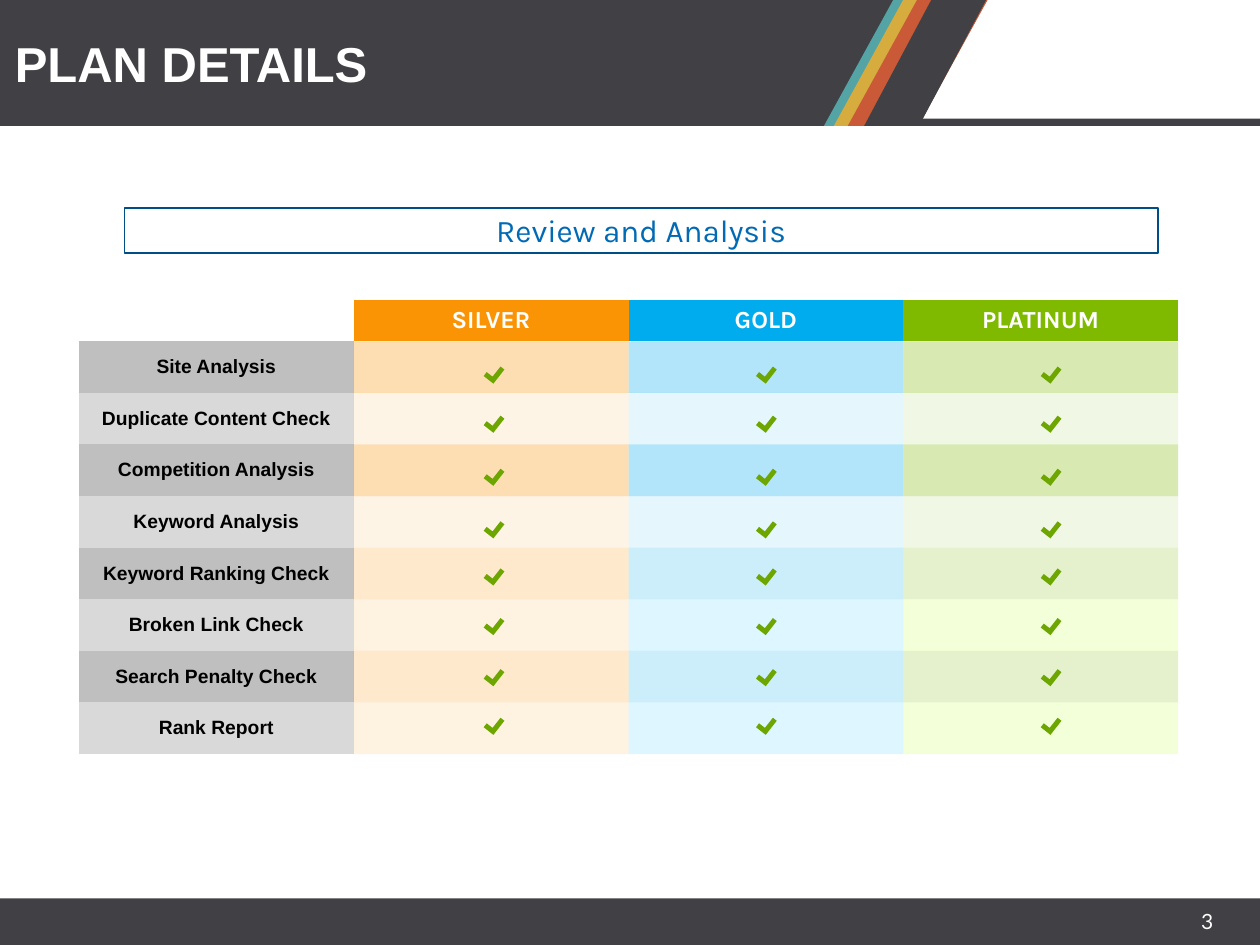
"""Build the plan details slide: a feature comparison of three plans."""
from dataclasses import dataclass
from typing import Optional

from lxml import etree
from pptx import Presentation
from pptx.dml.color import RGBColor
from pptx.enum import shapes, text
from pptx.oxml.ns import qn
from pptx.util import Cm, Pt

NO_STYLE = "{2D5ABB26-0587-4C30-8999-92F81FD0307C}"
KIND = shapes.MSO_SHAPE
ALIGN = text.PP_ALIGN


@dataclass(frozen=True)
class Font:
    name: str
    size: int
    color: str
    bold: bool = False


@dataclass(frozen=True)
class Theme:
    dark: str = "414145"
    white: str = "FFFFFF"
    tick: str = "6DA601"
    box_line: str = "004E86"
    labels: tuple[str, str] = ("BFBFBF", "D9D9D9")
    title: Font = Font("Arial", 28, "FFFFFF", True)
    subtitle: Font = Font("Karla", 18, "006AB5")
    plan: Font = Font("Karla", 14, "FFFFFF", True)
    feature: Font = Font("Arial", 11, "000000", True)
    number: Font = Font("Lato", 12, "FFFFFF")


@dataclass(frozen=True)
class Box:
    x: float
    y: float
    w: float
    h: float


@dataclass(frozen=True)
class Plan:
    name: str
    color: str
    light: str
    tick_x: float


@dataclass(frozen=True)
class Feature:
    name: str
    tick_y: float
    opacity: int
    light: bool = False


THEME = Theme()
STRIPES = (
    (Box(16.61, 0, 2.82, 2.54), "54A4A5"),
    (Box(16.81, 0, 2.82, 2.54), "D6AC3E"),
    (Box(17.09, 0, 2.82, 2.54), "CA5937"),
    (Box(17.42, 0, 2.46, 2.54), THEME.dark),
)
PLANS = (
    Plan("SILVER", "FB9404", "FDBF68", 9.78),
    Plan("GOLD", "00ACED", "5BD2FF", 15.27),
    Plan("PLATINUM", "7FBA00", "C1FF3D", 21.01),
)
FEATURES = (
    Feature("Site Analysis", 7.39, 30),
    Feature("Duplicate Content Check", 8.38, 10),
    Feature("Competition Analysis", 9.45, 30),
    Feature("Keyword Analysis", 10.51, 10),
    Feature("Keyword Ranking Check", 11.46, 20),
    Feature("Broken Link Check", 12.46, 20, True),
    Feature("Search Penalty Check", 13.49, 20),
    Feature("Rank Report", 14.47, 20, True),
)


def place(sp, box: Box) -> None:
    """Move and size a shape."""
    sp.left, sp.top, sp.width, sp.height = map(Cm, (box.x, box.y, box.w, box.h))


def paint(fill, color: str, opacity: int = 100) -> None:
    """Give a solid fill, see-through when opacity is under 100 percent."""
    fill.solid()
    fill.fore_color.rgb = RGBColor.from_string(color)
    if opacity < 100:
        clr = fill._xPr.find(".//" + qn("a:srgbClr"))
        etree.SubElement(clr, qn("a:alpha")).set("val", str(opacity * 1000))


def write(tf, words: str, font: Font, align: ALIGN) -> None:
    """Write one run in the first paragraph of a text frame."""
    p = tf.paragraphs[0]
    p.alignment = align
    r = p.add_run()
    r.text = words
    r.font.name, r.font.size, r.font.bold = font.name, Pt(font.size), font.bold
    r.font.color.rgb = RGBColor.from_string(font.color)


def add_block(s, kind: KIND, box: Box, color: str,
              adj: tuple[float, ...] = (), line: Optional[str] = None):
    """Add a flat preset shape."""
    sp = s.shapes.add_shape(kind, *map(Cm, (box.x, box.y, box.w, box.h)))
    sp.shadow.inherit = False
    for i, value in enumerate(adj):
        sp.adjustments[i] = value
    paint(sp.fill, color)
    if line:
        sp.line.color.rgb = RGBColor.from_string(line)
        sp.line.width = Pt(1)
    else:
        sp.line.fill.background()
    return sp


def add_frame(s) -> None:
    """Draw the header band, its stripes, the footer and the page number."""
    for box in (Box(0, 2.39, 25.4, 0.15), Box(0, 0, 18.57, 2.54), Box(0, 18.11, 25.4, 0.94)):
        add_block(s, KIND.RECTANGLE, box, THEME.dark)
    for box, color in STRIPES:
        add_block(s, KIND.PARALLELOGRAM, box, color, (0.55,))
    sp = s.shapes.add_textbox(*map(Cm, (19.63, 18.19, 5.08, 0.84)))
    sp.text_frame.word_wrap = True
    write(sp.text_frame, "3", THEME.number, ALIGN.RIGHT)


def fill_cell(cell, color: str, words: str = "", font: Font = THEME.feature,
              opacity: int = 100) -> None:
    """Colour a table cell and write its centred label, if any."""
    paint(cell.fill, color, opacity)
    if words:
        write(cell.text_frame, words, font, ALIGN.CENTER)


def add_plans(s) -> None:
    """Add the comparison table."""
    add_block(s, KIND.ROUNDED_RECTANGLE, Box(1.27, 5.74, 22.86, 9.7), THEME.white, (0.02,))
    frame = s.shapes.add_table(len(FEATURES) + 1, len(PLANS) + 1,
                               *map(Cm, (1.59, 6.05, 22.17, 9.19)))
    table = frame.table
    table.first_row = table.horz_banding = False
    table._tbl.tblPr.find(qn("a:tableStyleId")).text = NO_STYLE
    for col in table.columns:
        col.width = Cm(5.54)
    for i, row in enumerate(table.rows):
        row.height = Cm(1.04 if i else 0.83)
    for cell in table.iter_cells():
        cell.margin_top = cell.margin_bottom = 0
        cell.vertical_anchor = text.MSO_ANCHOR.MIDDLE
    table.cell(0, 0).fill.background()
    for j, plan in enumerate(PLANS, 1):
        fill_cell(table.cell(0, j), plan.color, plan.name, THEME.plan)
    for i, feature in enumerate(FEATURES, 1):
        fill_cell(table.cell(i, 0), THEME.labels[(i - 1) % 2], feature.name)
        for j, plan in enumerate(PLANS, 1):
            color = plan.light if feature.light else plan.color
            fill_cell(table.cell(i, j), color, opacity=feature.opacity)


def add_ticks(s) -> None:
    """Put a tick in every plan cell."""
    for feature in FEATURES:
        for plan in PLANS:
            sp = add_block(s, KIND.CORNER, Box(plan.tick_x, feature.tick_y, 0.36, 0.25),
                           THEME.tick, (0.4, 0.4))
            sp.rotation = 308.1


def add_titles(s) -> None:
    """Add the boxed subtitle and set the slide title in front."""
    sp = add_block(s, KIND.RECTANGLE, Box(2.51, 4.19, 20.83, 0.91), THEME.white,
                   line=THEME.box_line)
    sp.text_frame.vertical_anchor = text.MSO_ANCHOR.MIDDLE
    write(sp.text_frame, "Review and Analysis", THEME.subtitle, ALIGN.CENTER)
    title = s.shapes.title
    place(title, Box(0.3, 0, 24.66, 2.54))
    tf = title.text_frame
    tf.auto_size = text.MSO_AUTO_SIZE.NONE
    tf.vertical_anchor = text.MSO_ANCHOR.MIDDLE
    tf.margin_left = 0
    write(tf, "PLAN DETAILS", THEME.title, ALIGN.LEFT)
    s.shapes._spTree.append(title._element)


def main() -> None:
    """Build and save the slide."""
    prs = Presentation()
    prs.slide_width, prs.slide_height = Cm(25.4), Cm(19.05)
    s = prs.slides.add_slide(prs.slide_layouts[5])
    for draw in (add_frame, add_plans, add_ticks, add_titles):
        draw(s)
    prs.save("out.pptx")


if __name__ == "__main__":
    main()
